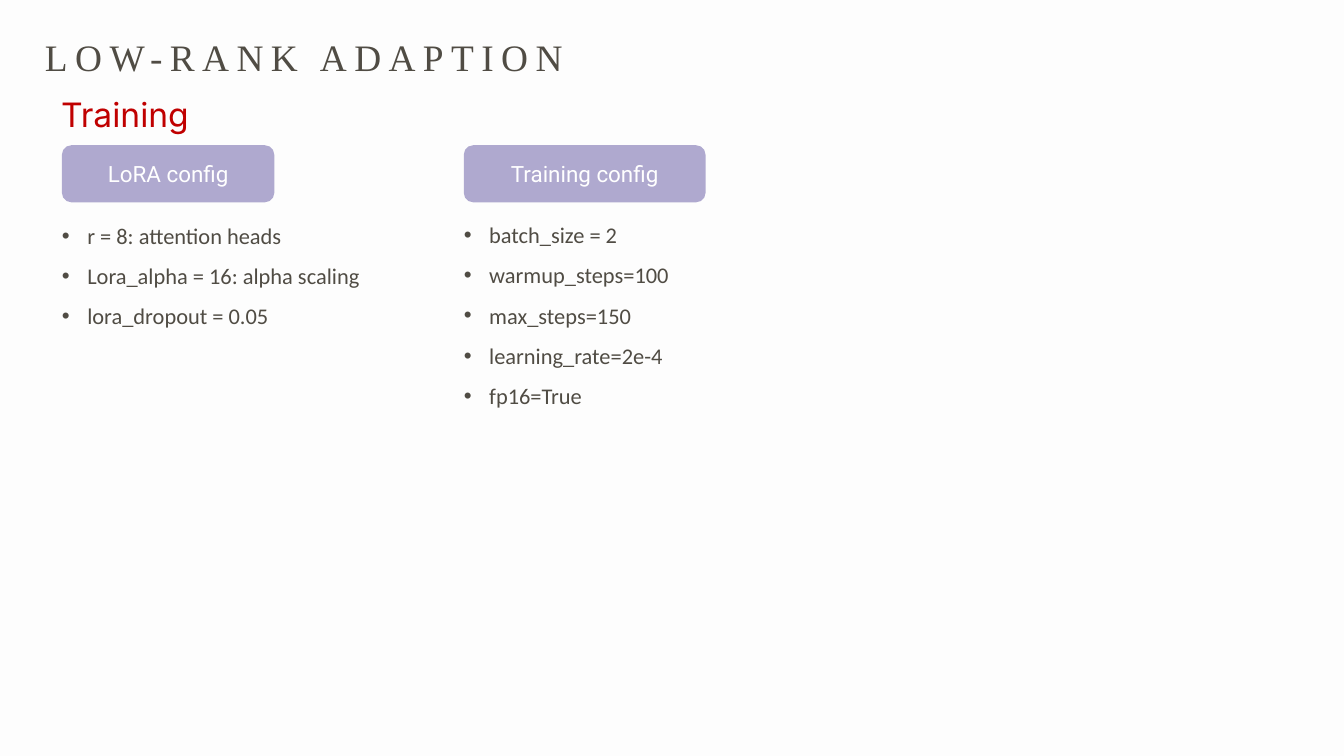
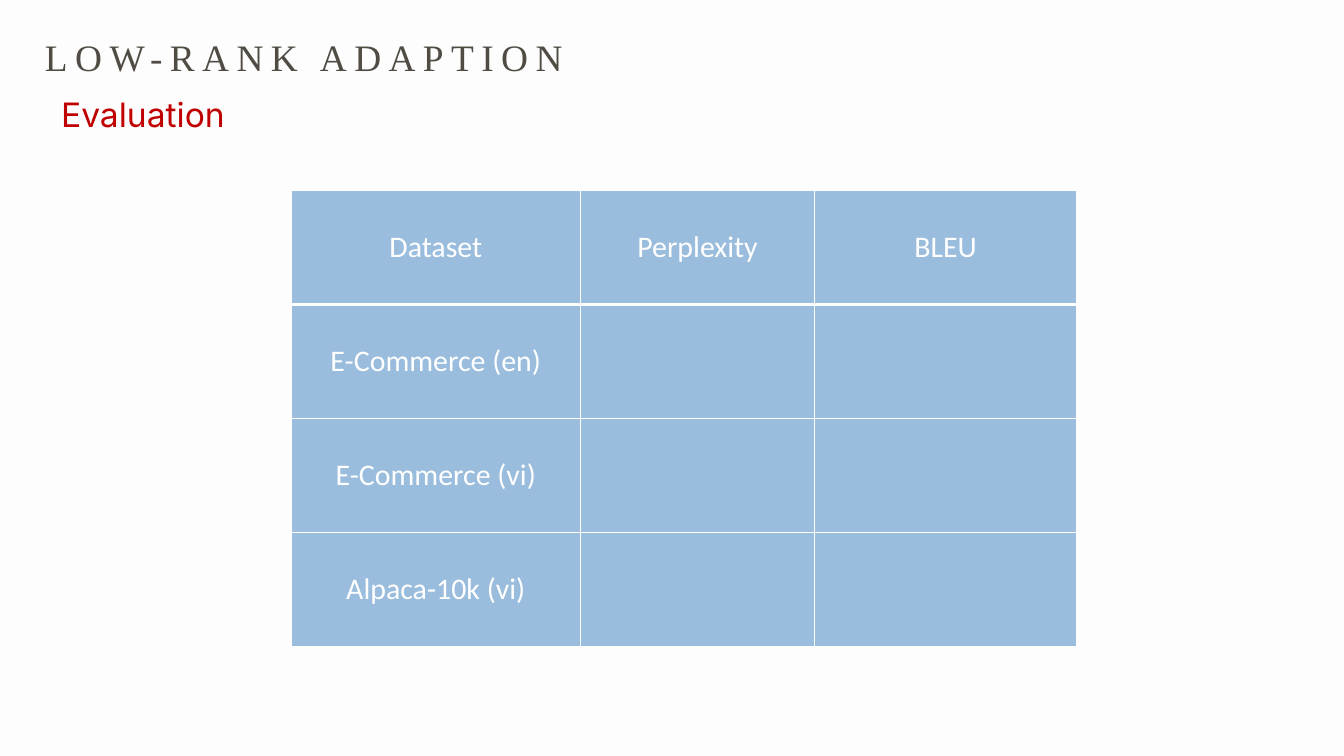
import pptx
import pptx.dml.color
import pptx.enum.shapes
import pptx.enum.text
import pptx.oxml
import pptx.oxml.ns
import pptx.util
from pptx.util import Cm, Pt

ALIGN = pptx.enum.text.PP_ALIGN
ANCHOR = pptx.enum.text.MSO_ANCHOR
FIT = pptx.enum.text.MSO_AUTO_SIZE

COLOURS = {"paper": "FDFDFD", "ink": "504C44", "accent": "C00000",
           "badge": "AFA9CF", "cell": "9ABDDD", "white": "FFFFFF"}

# Font and paragraph values of each kind of text
FONTS = {
    "title": {"name": "Times New Roman", "size": Pt(40)},
    "subtitle": {"name": "Inter", "size": Pt(36)},
    "badge": {"name": "Roboto", "size": Pt(24)},
    "list": {"name": "Calibri", "size": Pt(24)},
    "table": {"name": "Calibri", "size": Pt(32), "bold": False},
}
INKS = {"title": "ink", "subtitle": "accent", "badge": "white", "list": "ink", "table": "white"}
PARAGRAPHS = {
    "title": {"alignment": ALIGN.LEFT, "line_spacing": Pt(56)},
    "subtitle": {"alignment": ALIGN.LEFT, "line_spacing": Pt(28)},
    "badge": {"alignment": ALIGN.CENTER},
    "list": {"alignment": ALIGN.JUSTIFY, "line_spacing": 1.5, "space_before": Pt(0)},
    "table": {"alignment": ALIGN.CENTER},
}
FRAME = {"margin_left": 0, "margin_top": 0, "margin_right": 0, "margin_bottom": 0,
         "word_wrap": True, "vertical_anchor": ANCHOR.TOP}


def colour(name):
    return pptx.dml.color.RGBColor.from_string(COLOURS[name])


def apply(target, values):
    for name, value in values.items():
        setattr(target, name, value)


def place(shape, left, top, width, height):
    apply(shape, {"left": Cm(left), "top": Cm(top), "width": Cm(width), "height": Cm(height)})


class Deck:
    """Holds the shared style and the current slide."""

    def __init__(self):
        self.show = pptx.Presentation()
        apply(self.show, {"slide_width": Cm(50.8), "slide_height": Cm(28.58)})
        background = self.show.slide_master.background.fill
        background.solid()
        background.fore_color.rgb = colour("paper")
        self.slide = None

    def set_text(self, frame, lines, kind):
        frame.text = "\n".join(lines)
        for paragraph in frame.paragraphs:
            apply(paragraph, PARAGRAPHS[kind])
            for run in paragraph.runs:
                apply(run.font, FONTS[kind])
                run.font.color.rgb = colour(INKS[kind])

    def start(self, layout, title, subtitle):
        self.slide = self.show.slides.add_slide(self.show.slide_layouts.get_by_name(layout))
        heading = self.slide.shapes.title
        place(heading, 1.7, 1, 47.83, 1.93)
        apply(heading.text_frame, FRAME | {"auto_size": FIT.SHAPE_TO_FIT_TEXT})
        self.set_text(heading.text_frame, [title], "title")
        # Letter spacing of 8 pt
        heading.text_frame.paragraphs[0].runs[0]._r.get_or_add_rPr().set("spc", "800")

        section = self.slide.shapes.add_textbox(Cm(2.31), Cm(4.09), Cm(30), Cm(1.32))
        apply(section.text_frame, FRAME)
        self.set_text(section.text_frame, [subtitle], "subtitle")

    def badge(self, label, left, width):
        badge = self.slide.shapes.add_shape(
            pptx.enum.shapes.MSO_SHAPE.ROUNDED_RECTANGLE,
            Cm(left), Cm(5.49), Cm(width), Cm(2.16))
        badge.shadow.inherit = False
        badge.fill.solid()
        badge.fill.fore_color.rgb = colour("badge")
        badge.line.fill.background()
        badge.text_frame.vertical_anchor = ANCHOR.MIDDLE
        self.set_text(badge.text_frame, [label], "badge")

    def bullets(self, index, items, left, top):
        body = self.slide.placeholders[index]
        place(body, left, top, 23.44, 1.5 * len(items))
        apply(body.text_frame, FRAME | {"auto_size": FIT.SHAPE_TO_FIT_TEXT})
        self.set_text(body.text_frame, items, "list")
        for paragraph in body.text_frame.paragraphs:
            properties = paragraph._p.get_or_add_pPr()
            properties.set("marL", str(Cm(0.96)))
            properties.set("indent", str(-Cm(0.96)))
            for tag, key, value in (("buFont", "typeface", "Arial"), ("buChar", "char", "•")):
                bullet = pptx.oxml.parse_xml(
                    f'<a:{tag} {pptx.oxml.ns.nsdecls("a")} {key}="{value}"/>')
                properties.append(bullet)

    def borders(self, cell, top, bottom):
        properties = cell._tc.get_or_add_tcPr()
        widths = {"lnL": 1, "lnR": 1, "lnT": top, "lnB": bottom}
        for position, (side, points) in enumerate(widths.items()):
            properties.insert(position, pptx.oxml.parse_xml(
                f'<a:{side} {pptx.oxml.ns.nsdecls("a")} w="{Pt(points)}"><a:solidFill>'
                f'<a:srgbClr val="{COLOURS["white"]}"/></a:solidFill></a:{side}>'))

    def table(self, rows, left, top, widths, row_height):
        grid = self.slide.shapes.add_table(
            len(rows), len(widths), Cm(left), Cm(top),
            Cm(sum(widths)), Cm(row_height * len(rows))).table
        for column, width in zip(grid.columns, widths):
            column.width = Cm(width)
        for r, row in enumerate(rows):
            for c in range(len(widths)):
                cell = grid.cell(r, c)
                cell.fill.solid()
                cell.fill.fore_color.rgb = colour("cell")
                cell.vertical_anchor = ANCHOR.MIDDLE
                # Thick rule under the header row
                self.borders(cell, 3 if r == 1 else 1, 3 if r == 0 else 1)
                if c < len(row):
                    self.set_text(cell.text_frame, [row[c]], "table")


def main():
    deck = Deck()
    topic = "LOW-RANK ADAPTION"

    # Training: two configurations side by side
    deck.start("Two Content", topic, "Training")
    lora = ["r = 8: attention heads", "Lora_alpha = 16: alpha scaling", "lora_dropout = 0.05"]
    training = ["batch_size = 2", "warmup_steps=100", "max_steps=150",
                "learning_rate=2e-4", "fp16=True"]
    configs = [("LoRA config", 2.34, 8.03, 7.88, lora),
               ("Training config", 17.53, 9.14, 7.85, training)]
    for index, (label, left, width, list_top, settings) in enumerate(configs, start=1):
        deck.badge(label, left, width)
        deck.bullets(index, settings, left, list_top)

    # Evaluation: scores per data set, still to be filled in
    deck.start("Title Only", topic, "Evaluation")
    scores = [["Dataset", "Perplexity", "BLEU"],
              ["E-Commerce (en)"], ["E-Commerce (vi)"], ["Alpaca-10k (vi)"]]
    deck.table(scores, 11, 7.21, [10.95, 8.84, 9.91], 4.31)

    deck.show.save("out.pptx")


if __name__ == "__main__":
    main()
